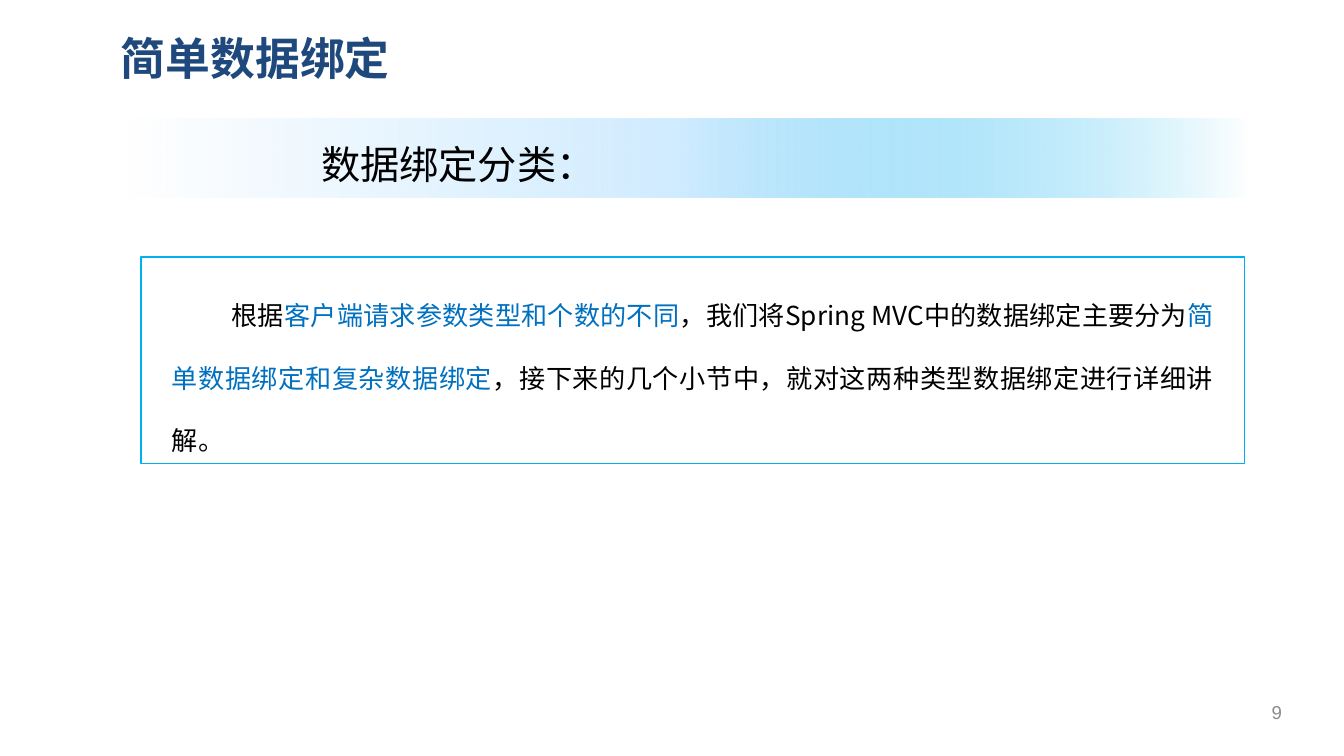
from lxml.etree import SubElement
from pptx import Presentation
from pptx.dml.color import RGBColor
from pptx.enum.shapes import MSO_SHAPE
from pptx.enum.text import MSO_ANCHOR, PP_ALIGN
from pptx.oxml.ns import qn
from pptx.util import Pt

COLORS = {
    "navy": "1F497D", "black": "000000", "blue": "0070C0", "edge": "00B0F0",
    "pale": "D1ECFF", "white": "FFFFFF", "gray": "8C8C8C",
}
SANS = "Noto Sans CJK SC"


def tint(name):
    return RGBColor.from_string(COLORS[name])


def fade(color, share):
    SubElement(color, qn("a:alpha"), val=str(share * 1000))


def add_text(shapes, box, runs, size, font=SANS, bold=False, align=PP_ALIGN.LEFT,
             anchor=MSO_ANCHOR.TOP, inset=(7.2, 3.6), space=1.0, indent=0):
    frame = shapes.add_textbox(*map(Pt, box)).text_frame
    frame.word_wrap = True
    frame.vertical_anchor = anchor
    frame.margin_left = frame.margin_right = Pt(inset[0])
    frame.margin_top = frame.margin_bottom = Pt(inset[1])
    para = frame.paragraphs[0]
    para.alignment = align
    para.line_spacing = space
    if indent:
        para._p.get_or_add_pPr().set("indent", str(Pt(indent)))
    for text, color in runs:
        run = para.add_run()
        run.text = text
        run.font.size = Pt(size)
        run.font.bold = bold
        run.font.color.rgb = tint(color)
        run.font.name = font
        SubElement(run._r.get_or_add_rPr(), qn("a:ea"), typeface=font)


def add_rect(shapes, box):
    rect = shapes.add_shape(MSO_SHAPE.RECTANGLE, *map(Pt, box))
    rect.shadow.inherit = False
    return rect


def add_title(slide, box):
    add_text(slide.shapes, box, [("简单数据绑定", "navy")], 24, bold=True,
             anchor=MSO_ANCHOR.MIDDLE, inset=(5, 2.9))


def add_banner(slide, box):
    left, top, width, height = box
    group = slide.shapes.add_group_shape()
    band = add_rect(group.shapes, box)
    band.line.fill.background()
    band.fill.gradient()
    band.fill.gradient_angle = 0
    stops = band._element.spPr.find(".//" + qn("a:gsLst"))
    for stop in list(stops):
        stops.remove(stop)
    for place, name, share in [(0, "pale", 0), (49, "pale", 100), (100, "edge", 0)]:
        stop = SubElement(stops, qn("a:gs"), pos=str(place * 1000))
        fade(SubElement(stop, qn("a:srgbClr"), val=COLORS[name]), share)
    add_text(group.shapes, (left + 98, top + 8, 238, 27),
             [("数据绑定分类：", "black")], 21)


def add_panel(slide, box):
    left, top, width, height = box
    panel = add_rect(slide.shapes, box)
    panel.fill.solid()
    panel.fill.fore_color.rgb = tint("white")
    fade(panel._element.spPr.find(qn("a:solidFill"))[0], 90)
    panel.line.color.rgb = tint("edge")
    panel.line.width = Pt(0.75)
    runs = [
        ("根据", "black"),
        ("客户端请求参数类型和个数的不同", "blue"),
        ("，我们将Spring MVC中的数据绑定主要分为", "black"),
        ("简单数据绑定和复杂数据绑定", "blue"),
        ("，接下来的几个小节中，就对这两种类型数据绑定进行详细讲解。", "black"),
    ]
    add_text(slide.shapes, (left + 9.4, top + 2.2, width - 18.8, height - 7), runs, 14,
             align=PP_ALIGN.JUSTIFY, space=2.0, indent=32)


def add_number(slide, box):
    add_text(slide.shapes, box, [("9", "gray")], 10, font="Arial",
             align=PP_ALIGN.CENTER, anchor=MSO_ANCHOR.MIDDLE, inset=(6.5, 2.9))


def main():
    deck = Presentation()
    deck.slide_width, deck.slide_height = Pt(720), Pt(405)
    slide = deck.slides.add_slide(deck.slide_layouts[6])
    add_title(slide, (59.8, 13, 629.3, 36))
    add_panel(slide, (75.6, 137.7, 591.1, 110.6))
    add_banner(slide, (67, 63.4, 601.2, 42.5))
    add_number(slide, (666.7, 370.8, 34.6, 21.6))
    deck.save("out.pptx")


if __name__ == "__main__":
    main()
